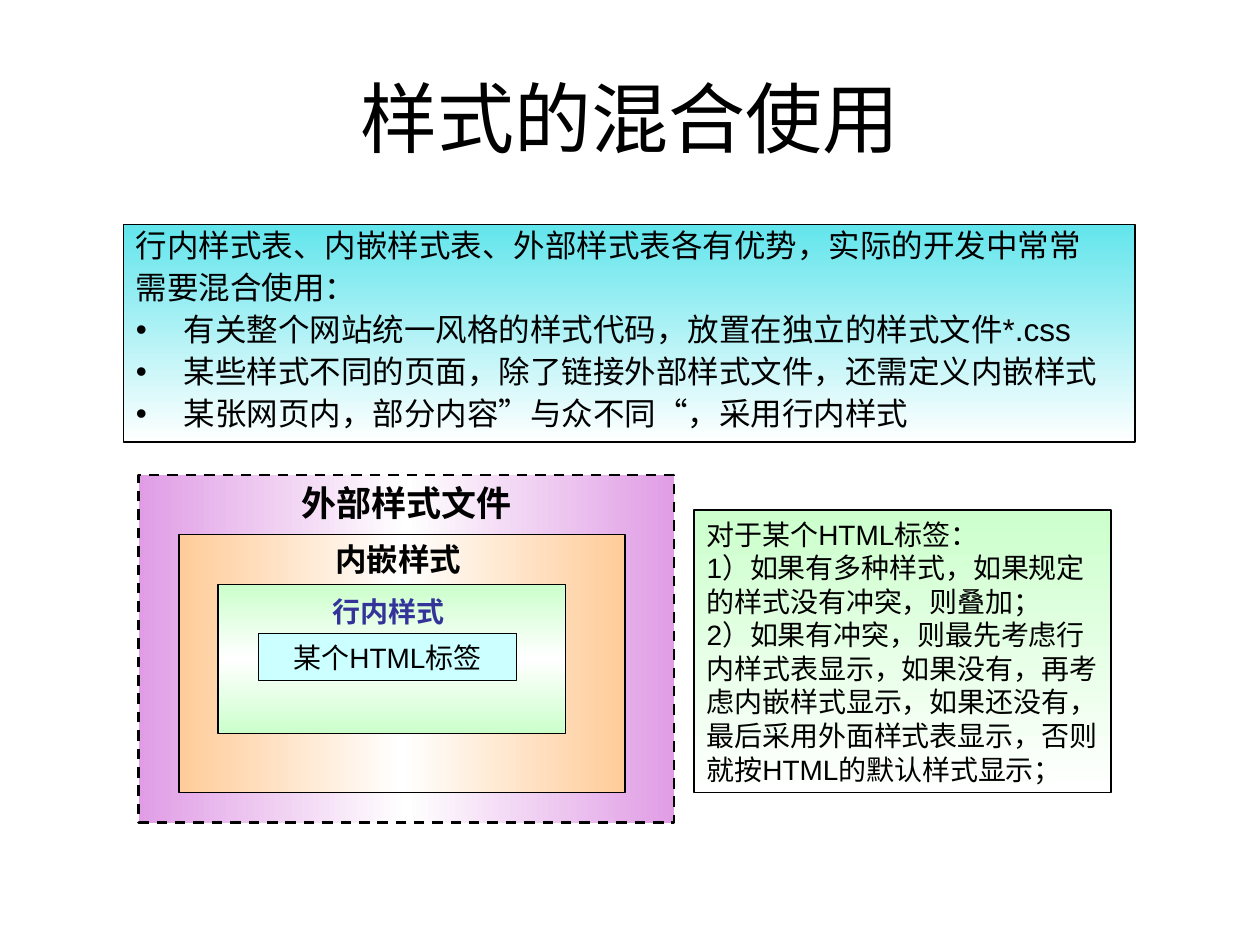
from lxml import etree
from pptx import Presentation
from pptx.dml.color import RGBColor
from pptx.enum.dml import MSO_LINE
from pptx.enum.shapes import MSO_SHAPE
from pptx.enum.text import MSO_ANCHOR, PP_ALIGN
from pptx.oxml.ns import qn
from pptx.util import Inches, Pt

RECTANGLE = MSO_SHAPE.RECTANGLE
DASH = MSO_LINE.DASH
TOP, MIDDLE = MSO_ANCHOR.TOP, MSO_ANCHOR.MIDDLE
LEFT, CENTER = PP_ALIGN.LEFT, PP_ALIGN.CENTER
DOWNWARD, SIDEWAYS = 270, 180

COLORS = {
    "black": "000000",
    "white": "FFFFFF",
    "cyan": "62E5EC",
    "violet": "E09DE5",
    "orange": "FFCC99",
    "green": "CCFFCC",
    "pale_cyan": "CCFFFF",
    "indigo": "333399",
}


class SlideBuilder:
    font = "Arial"

    def __init__(self, slide):
        self.slide = slide

    def color(self, name):
        return RGBColor.from_string(COLORS[name])

    def gradient(self, shape, names, angle):
        """Fill a shape with evenly spaced colour stops."""
        shape.fill.gradient()
        shape.fill.gradient_angle = angle
        stops = shape._element.spPr.find(qn("a:gradFill")).find(qn("a:gsLst"))
        for stop in list(stops):
            stops.remove(stop)
        for i, name in enumerate(names):
            position = str(100000 * i // (len(names) - 1))
            stop = etree.SubElement(stops, qn("a:gs"), pos=position)
            etree.SubElement(stop, qn("a:srgbClr"), val=COLORS[name])

    def box(self, at, fills, angle=DOWNWARD, line_width=0.75, dash=None):
        shape = self.slide.shapes.add_shape(RECTANGLE, *map(Inches, at))
        shape.shadow.inherit = False
        if len(fills) > 1:
            self.gradient(shape, fills, angle)
        else:
            shape.fill.solid()
            shape.fill.fore_color.rgb = self.color(fills[0])
        shape.line.color.rgb = self.color("black")
        shape.line.width = Pt(line_width)
        if dash:
            shape.line.dash_style = dash
        return shape

    def text_box(self, at):
        return self.slide.shapes.add_textbox(*map(Inches, at))

    def run(self, paragraph, text, size, color="black", bold=False):
        run = paragraph.add_run()
        run.text = text
        run.font.name = self.font
        run.font.size = Pt(size)
        run.font.bold = bold
        run.font.color.rgb = self.color(color)

    def add_text(self, shape, lines, size, align=LEFT, anchor=TOP, wrap=True,
                 color="black", bold=False):
        """Add one paragraph per line and return the paragraphs."""
        frame = shape.text_frame
        frame.word_wrap = wrap
        frame.vertical_anchor = anchor
        paragraphs = []
        for i, line in enumerate(lines):
            paragraph = frame.add_paragraph() if i else frame.paragraphs[0]
            paragraph.alignment = align
            self.run(paragraph, line, size, color, bold)
            paragraphs.append(paragraph)
        return paragraphs

    def hang(self, paragraph, bullet):
        """Give a paragraph a hanging indent, with a bullet if asked."""
        properties = paragraph._p.get_or_add_pPr()
        properties.set("marL", str(Inches(0.38)))
        properties.set("indent", str(-Inches(0.38)))
        if bullet:
            bullet_color = etree.SubElement(properties, qn("a:buClr"))
            etree.SubElement(bullet_color, qn("a:srgbClr"), val=COLORS["black"])
            etree.SubElement(properties, qn("a:buFont"), typeface=self.font)
            etree.SubElement(properties, qn("a:buChar"), char="•")


def main():
    presentation = Presentation()
    presentation.slide_width = Inches(10)
    presentation.slide_height = Inches(7.5)
    builder = SlideBuilder(
        presentation.slides.add_slide(presentation.slide_layouts[6]))

    # Outermost style level, behind everything else
    external = builder.box((1.1, 3.77, 4.25, 2.76), ("violet", "white", "violet"),
                           SIDEWAYS, line_width=1.5, dash=DASH)
    builder.add_text(external, ["外部样式文件"], 20, CENTER, wrap=False, bold=True)

    # Title
    title = builder.text_box((0.5, 0.3, 9, 1.25))
    builder.add_text(title, ["样式的混合使用"], 44, CENTER, MIDDLE)

    # Introduction: two plain lines, then bullets
    introduction = builder.box((0.98, 1.78, 8.03, 1.73), ("cyan", "white"))
    paragraphs = builder.add_text(introduction, [
        "行内样式表、内嵌样式表、外部样式表各有优势，实际的开发中常常",
        "需要混合使用：",
        "有关整个网站统一风格的样式代码，放置在独立的样式文件*.css",
        "某些样式不同的页面，除了链接外部样式文件，还需定义内嵌样式",
        "某张网页内，部分内容”与众不同“，采用行内样式",
    ], 18)
    for i, paragraph in enumerate(paragraphs):
        paragraph.line_spacing = 0.9
        paragraph.space_before = Pt(4.5 if i else 0)
        builder.hang(paragraph, bullet=i >= 2)

    # Rules of precedence
    rules = builder.box((5.51, 4.05, 3.31, 2.24), ("green", "white"), line_width=1)
    builder.add_text(rules, [
        "对于某个HTML标签：",
        "1）如果有多种样式，如果规定的样式没有冲突，则叠加；",
        "2）如果有冲突，则最先考虑行内样式表显示，如果没有，再考虑内嵌样式显示，"
        "如果还没有，最后采用外面样式表显示，否则就按HTML的默认样式显示；",
    ], 16, anchor=MIDDLE)

    # Inner style levels, down to the tag
    embedded = builder.box((1.42, 4.24, 3.54, 2.05), ("orange", "white", "orange"),
                           SIDEWAYS)
    builder.add_text(embedded, ["内嵌样式 "], 18, CENTER, wrap=False, bold=True)

    inline = builder.box((1.73, 4.64, 2.76, 1.18), ("green", "white", "green"))
    inline_label = builder.add_text(inline, ["行内样式"], 16, CENTER, wrap=False,
                                    color="indigo", bold=True)[0]
    builder.run(inline_label, " ", 18, "indigo")

    tag = builder.box((2.05, 5.03, 2.05, 0.37), ("pale_cyan",))
    builder.add_text(tag, ["某个HTML标签"], 16, CENTER, MIDDLE)

    presentation.save("out.pptx")


if __name__ == "__main__":
    main()
